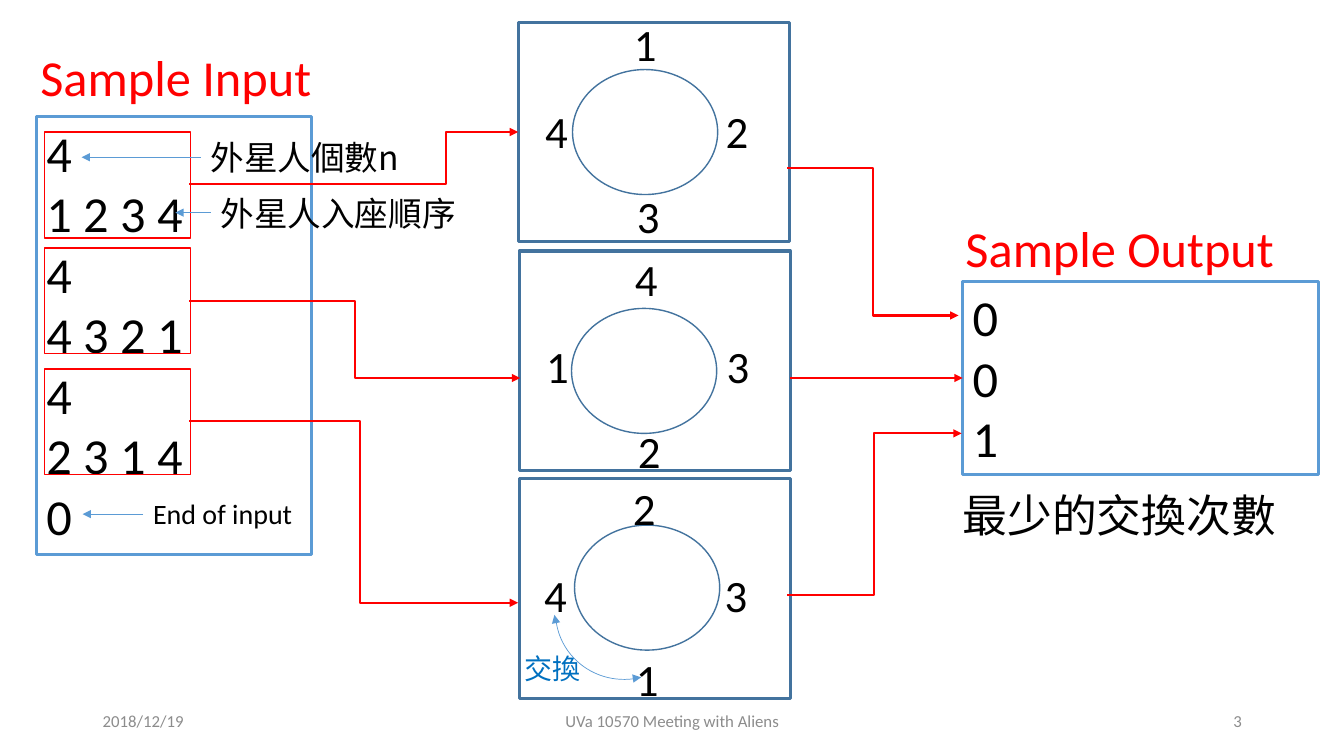
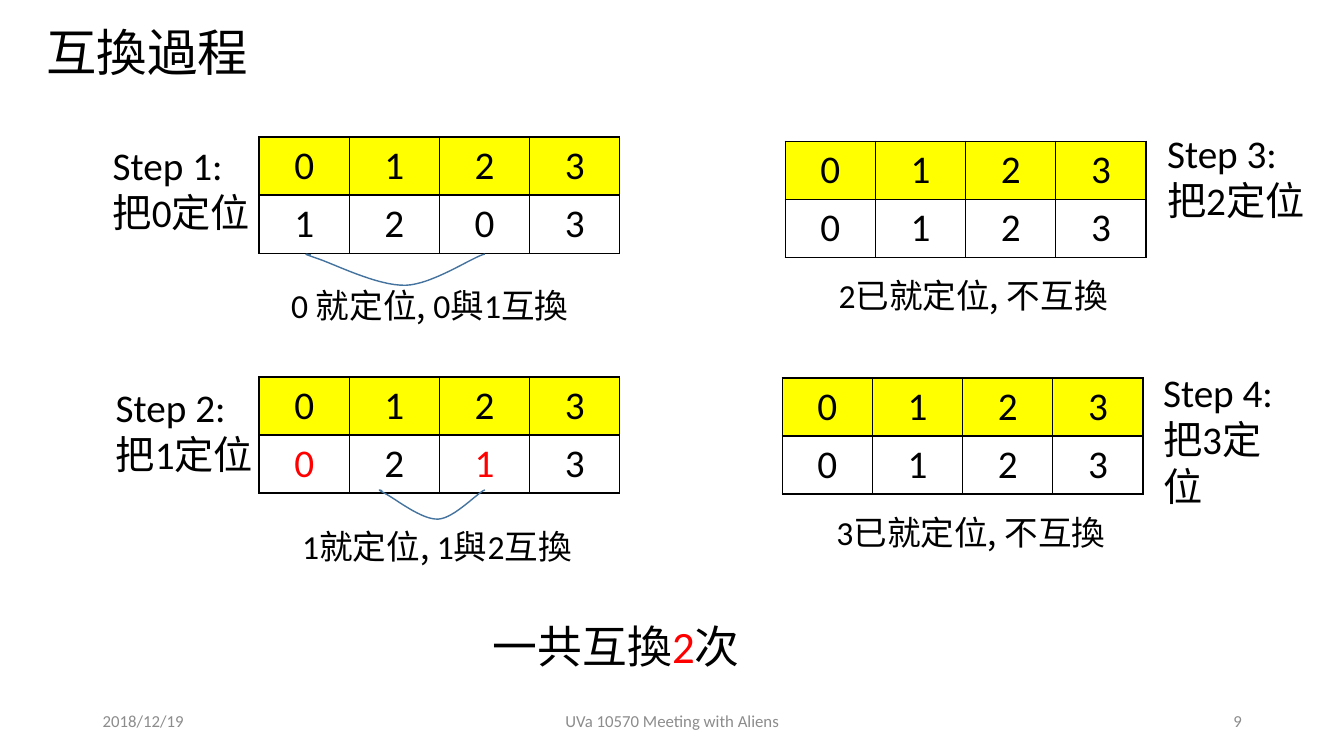
import dataclasses
import typing

import lxml.etree
import pptx
import pptx.dml.color
import pptx.enum.dml
import pptx.enum.shapes
import pptx.enum.text
import pptx.oxml.ns
import pptx.util

# The slide is a grid of square cells; every length below counts columns or rows.
COLUMNS, ROWS = 133.33, 75
CELL = pptx.util.Inches(0.1)

COLORS = {"black": "000000", "red": "FF0000", "blue": "5B9BD5", "navy": "43739E",
          "note": "0070C0", "gray": "8C8C8C", "yellow": "FFFF00"}
LATIN, CJK = "Calibri", "Noto Sans CJK SC"
FOOTER_TOP, FOOTER_HEIGHT = 69.5, 4
SHAPES = pptx.enum.shapes.MSO_SHAPE
CONNECTORS = pptx.enum.shapes.MSO_CONNECTOR
ALIGN = pptx.enum.text.PP_ALIGN
ANCHOR = pptx.enum.text.MSO_ANCHOR


class Point(typing.NamedTuple):
    x: float
    y: float


class Box(typing.NamedTuple):
    left: float
    top: float
    width: float
    height: float


class Run(typing.NamedTuple):
    text: str
    color: str = "black"


@dataclasses.dataclass
class Panel:
    """A round table with its seats, listed from the top clockwise."""
    corner: Point
    circle: Point
    first_seat: Point
    seats: str


@dataclasses.dataclass
class Elbow:
    start: Point
    end: Point
    bend: float = 0.5


@dataclasses.dataclass
class Label:
    text: str
    box: Box
    size: int
    arrow_end: float


@dataclasses.dataclass
class Step:
    corner: Point
    values: str
    heading: tuple[str, ...]
    heading_box: Box
    caption: tuple[str, ...]
    caption_corner: Point
    red_values: str = ""
    curve: Box | None = None


PANEL_SIZE, CIRCLE_SIZE = (26.9, 21.8), (14.4, 12.4)
SEAT_OFFSETS = [Point(0, 0), Point(9.1, 8.6), Point(0.3, 17), Point(-8.8, 8.6)]
PANELS = [
    Panel(Point(51.4, 2.2), Point(56.8, 6.9), Point(61.9, 1.2), "1234"),
    Panel(Point(51.5, 24.9), Point(56.7, 30.6), Point(62, 24.5), "4321"),
    Panel(Point(51.5, 47.5), Point(57, 52.1), Point(61.8, 47.2), "2314"),
]
CASE_TOPS = [13.1, 24.6, 36.6]
ELBOWS = [
    Elbow(Point(18.8, 18.3), Point(51.4, 13.1), 0.78),
    Elbow(Point(18.8, 29.9), Point(51.6, 37.5)),
    Elbow(Point(18.8, 41.8), Point(51.4, 59.8), 0.52),
    Elbow(Point(78.1, 16.7), Point(95.1, 31.3)),
    Elbow(Point(78.1, 59), Point(95.4, 43)),
]
LABELS = [
    Label("外星人個數n", Box(19.9, 13.1, 22.1, 5), 24, 8.1),
    Label("外星人入座順序", Box(20.9, 18.6, 25.8, 5), 24, 17.4),
    Label("End of input", Box(14.2, 48.8, 15.8, 4.4), 20, 8.2),
]

TABLE_COLUMN, TABLE_ROW = 8.95, 5.7
STEPS = [
    Step(Point(25.7, 13.6), "1203", ("Step 1:", "把", "0", "定位"), Box(10.2, 13.5, 16, 10.4),
         ("0 ", "就定位, ", "0", "與", "1", "互換"), Point(27.9, 27.8),
         curve=Box(30.3, 25.2, 17.8, 3.1)),
    Step(Point(25.7, 37.4), "0213", ("Step 2:", "把", "1", "定位"), Box(10.5, 37.5, 16.6, 10.4),
         ("1", "就定位, ", "1", "與", "2", "互換"), Point(29, 51.7),
         red_values="01", curve=Box(37.6, 48.6, 10.5, 2.9)),
    Step(Point(77.9, 14), "0123", ("Step 3:", "把", "2", "定位"), Box(114.8, 12.3, 16, 15.1),
         ("2", "已就定位, ", "不互換"), Point(82.2, 26.8)),
    Step(Point(77.6, 37.5), "0123", ("Step 4:", "把", "3", "定位"), Box(114.4, 36, 13.3, 19.9),
         ("3", "已就定位, ", "不互換"), Point(82, 50.3)),
]
# Bezier control points of the swap curve, as shares of its box.
SWAP_CURVE = [Point(0.03, 0.03), Point(0, 0), Point(-0.02, -0.03), Point(0.06, 0.13),
              Point(0.15, 0.29), Point(0.4, 1.03), Point(0.56, 1), Point(0.71, 0.97),
              Point(0.93, 0.1), Point(1, 0)]


def cells(count: float) -> pptx.util.Emu:
    return pptx.util.Emu(round(count * CELL))


def rgb(color: str) -> pptx.dml.color.RGBColor:
    return pptx.dml.color.RGBColor.from_string(COLORS[color])


def set_all(target: typing.Any, values: dict[str, typing.Any]) -> None:
    for name, value in values.items():
        setattr(target, name, value)


def add_element(parent: typing.Any, tag: str, **attributes: str) -> typing.Any:
    return lxml.etree.SubElement(parent, pptx.oxml.ns.qn(tag), attributes)


def add_run(paragraph: typing.Any, content: Run, size: float) -> None:
    """Adds a run in the font of its script."""
    run = paragraph.add_run()
    run.text = content.text
    is_cjk = any("一" <= letter <= "鿿" for letter in content.text)
    set_all(run.font, {"size": pptx.util.Pt(size), "name": CJK if is_cjk else LATIN})
    run.font.color.rgb = rgb(content.color)
    add_element(run.font._element, "a:ea", typeface=CJK)


def write(frame: typing.Any, paragraphs: list[list[Run]], size: float,
          align: ALIGN = ALIGN.LEFT, anchor: ANCHOR = ANCHOR.TOP) -> None:
    set_all(frame, {"word_wrap": True, "vertical_anchor": anchor,
                    "auto_size": pptx.enum.text.MSO_AUTO_SIZE.NONE})
    for index, runs in enumerate(paragraphs):
        paragraph = frame.add_paragraph() if index else frame.paragraphs[0]
        set_all(paragraph, {"alignment": align, "space_before": pptx.util.Pt(0)})
        for run in runs:
            add_run(paragraph, run, size)


def place(shape: typing.Any, box: Box) -> None:
    set_all(shape, {name: cells(value) for name, value in box._asdict().items()})


def outline(line: typing.Any, color: str, width: float) -> None:
    line.color.rgb = rgb(color)
    line.width = pptx.util.Pt(width)


def add_text(slide: typing.Any, box: Box, runs: list[Run], size: float,
             align: ALIGN = ALIGN.LEFT, anchor: ANCHOR = ANCHOR.TOP) -> typing.Any:
    shape = slide.shapes.add_textbox(*map(cells, box))
    write(shape.text_frame, [runs], size, align, anchor)
    return shape


def add_outline(slide: typing.Any, kind: SHAPES, box: Box, color: str, width: float) -> typing.Any:
    shape = slide.shapes.add_shape(kind, *map(cells, box))
    shape.shadow.inherit = False
    shape.fill.background()
    outline(shape.line, color, width)
    return shape


def add_arrow(slide: typing.Any, start: Point, end: Point, color: str, width: float,
              bend: float | None = None) -> typing.Any:
    kind = CONNECTORS.STRAIGHT if bend is None else CONNECTORS.ELBOW
    connector = slide.shapes.add_connector(kind, *map(cells, (*start, *end)))
    outline(connector.line, color, width)
    add_element(connector.line._get_or_add_ln(), "a:tailEnd", type="triangle")
    properties = connector._element.spPr
    add_element(properties, "a:effectLst")
    if bend is not None:
        guides = properties.find(".//" + pptx.oxml.ns.qn("a:avLst"))
        add_element(guides, "a:gd", name="adj1", fmla=f"val {round(bend * 100000)}")
    return connector


def set_title(slide: typing.Any, box: Box, text: str, color: str) -> None:
    place(slide.shapes.title, box)
    write(slide.shapes.title.text_frame, [[Run(text, color)]], 36)


def set_list(body: typing.Any, box: Box, lines: list[str]) -> None:
    """Turns a body placeholder into a framed list without bullets."""
    place(body, box)
    outline(body.line, "blue", 2.25)
    write(body.text_frame, [[Run(line)] for line in lines], 36)
    for paragraph in body.text_frame.paragraphs:
        properties = paragraph._p.get_or_add_pPr()
        properties.set("marL", "0")
        properties.set("indent", "0")
        add_element(properties, "a:buNone")


def add_footer(slide: typing.Any, number: int) -> None:
    for left, width, text, align in [(9.2, 30, "2018/12/19", ALIGN.LEFT),
                                     (44.2, 45, "UVa 10570 Meeting with Aliens", ALIGN.CENTER),
                                     (94.2, 30, str(number), ALIGN.RIGHT)]:
        add_text(slide, Box(left, FOOTER_TOP, width, FOOTER_HEIGHT), [Run(text, "gray")],
                 12, align, ANCHOR.MIDDLE)


def add_panel(slide: typing.Any, panel: Panel) -> None:
    add_outline(slide, SHAPES.OVAL, Box(*panel.circle, *CIRCLE_SIZE), "navy", 1)
    for seat, offset in zip(panel.seats, SEAT_OFFSETS):
        box = Box(panel.first_seat.x + offset.x, panel.first_seat.y + offset.y, 5, 6.4)
        add_text(slide, box, [Run(seat)], 32)
    add_outline(slide, SHAPES.RECTANGLE, Box(*panel.corner, *PANEL_SIZE), "navy", 2.25)


def add_label(slide: typing.Any, label: Label) -> None:
    text = add_text(slide, label.box, [Run(label.text)], label.size)
    middle = label.box.top + label.box.height / 2
    arrow = add_arrow(slide, Point(label.box.left, middle), Point(label.arrow_end, middle),
                      "blue", 0.5)
    arrow.begin_connect(text, 1)


def add_value_table(slide: typing.Any, step: Step) -> None:
    box = Box(*step.corner, 4 * TABLE_COLUMN, 2 * TABLE_ROW)
    table = slide.shapes.add_table(2, 4, *map(cells, box)).table
    set_all(table, {"first_row": False, "horz_banding": False})
    for row, values in enumerate(("0123", step.values)):
        for column, value in enumerate(values):
            cell = table.cell(row, column)
            cell.vertical_anchor = ANCHOR.MIDDLE
            for side in "LRTB":
                border = add_element(cell._tc.get_or_add_tcPr(), f"a:ln{side}", w="12700")
                add_element(add_element(border, "a:solidFill"), "a:srgbClr", val=COLORS["black"])
            if row == 0:
                cell.fill.solid()
                cell.fill.fore_color.rgb = rgb("yellow")
            else:
                cell.fill.background()
            paragraph = cell.text_frame.paragraphs[0]
            paragraph.alignment = ALIGN.CENTER
            is_red = row == 1 and value in step.red_values
            add_run(paragraph, Run(value, "red" if is_red else "black"), 28)


def bezier(controls: list[Point], share: float) -> Point:
    """Point of a Bezier curve, by repeated interpolation."""
    while len(controls) > 1:
        controls = [Point(a.x + (b.x - a.x) * share, a.y + (b.y - a.y) * share)
                    for a, b in zip(controls, controls[1:])]
    return controls[0]


def add_swap_curve(slide: typing.Any, box: Box) -> None:
    points = [bezier(SWAP_CURVE[first:first + 4], part / 16)
              for first in (0, 3, 6) for part in range(17)]
    spots = [(cells(box.left + point.x * box.width), cells(box.top + point.y * box.height))
             for point in points]
    builder = slide.shapes.build_freeform(*spots[0])
    builder.add_line_segments(spots[1:], close=False)
    shape = builder.convert_to_shape()
    shape.shadow.inherit = False
    shape.fill.background()
    outline(shape.line, "navy", 1)


def build_samples(presentation: typing.Any) -> None:
    slide = presentation.slides.add_slide(presentation.slide_layouts[3])
    set_title(slide, Box(3, 4.1, 31.8, 7.1), "Sample Input", "red")
    input_body, output_body = list(slide.placeholders)[1:3]
    set_list(input_body, Box(3.6, 11.6, 27.3, 43.4),
             ["4", "1 2 3 4", "4", "4 3 2 1", "4", "2 3 1 4", "0"])
    set_list(output_body, Box(95.5, 27.9, 35.3, 19.2), ["0", "0", "1"])
    add_footer(slide, 3)
    add_text(slide, Box(94.8, 21, 37.7, 7.1), [Run("Sample Output", "red")], 36)
    for panel in PANELS:
        add_panel(slide, panel)
    arc = add_outline(slide, SHAPES.ARC, Box(55.1, 54, 13.7, 13.4), "blue", 0.5)
    arc.rotation = 171.7
    arc.adjustments[0] = 162.2
    add_arrow(slide, Point(62.9, 67.3), Point(63.6, 67.2), "blue", 0.5)
    add_arrow(slide, Point(55.1, 61.5), Point(55, 61), "blue", 0.5)
    for top in CASE_TOPS:
        add_outline(slide, SHAPES.RECTANGLE, Box(4.4, top, 14.5, 10.5), "red", 1)
    for label in LABELS:
        add_label(slide, label)
    for elbow in ELBOWS:
        add_arrow(slide, elbow.start, elbow.end, "red", 1.5, elbow.bend)
    straight = add_arrow(slide, Point(78.4, 37.5), Point(95.5, 37.5), "red", 1.5)
    straight.end_connect(output_body, 1)
    add_text(slide, Box(94.5, 47.9, 33.7, 6.4), [Run("最少的交換次數")], 32)
    add_text(slide, Box(51, 64.1, 9.9, 4.4), [Run("交換", "note")], 20)


def build_swaps(presentation: typing.Any) -> None:
    slide = presentation.slides.add_slide(presentation.slide_layouts[5])
    set_title(slide, Box(3.6, 1.6, 26.9, 7.1), "互換過程", "black")
    add_footer(slide, 9)
    for step in STEPS:
        add_value_table(slide, step)
        add_text(slide, step.heading_box, [Run(part) for part in step.heading], 28)
        add_text(slide, Box(*step.caption_corner, 32.8, 5), [Run(part) for part in step.caption], 24)
        if step.curve:
            add_swap_curve(slide, step.curve)
    add_text(slide, Box(47.9, 60.9, 50, 6.4), [Run("一共互換"), Run("2", "red"), Run("次")], 32)


def main() -> None:
    presentation = pptx.Presentation()
    set_all(presentation, {"slide_width": cells(COLUMNS), "slide_height": cells(ROWS)})
    build_samples(presentation)
    build_swaps(presentation)
    presentation.save("out.pptx")


if __name__ == "__main__":
    main()
